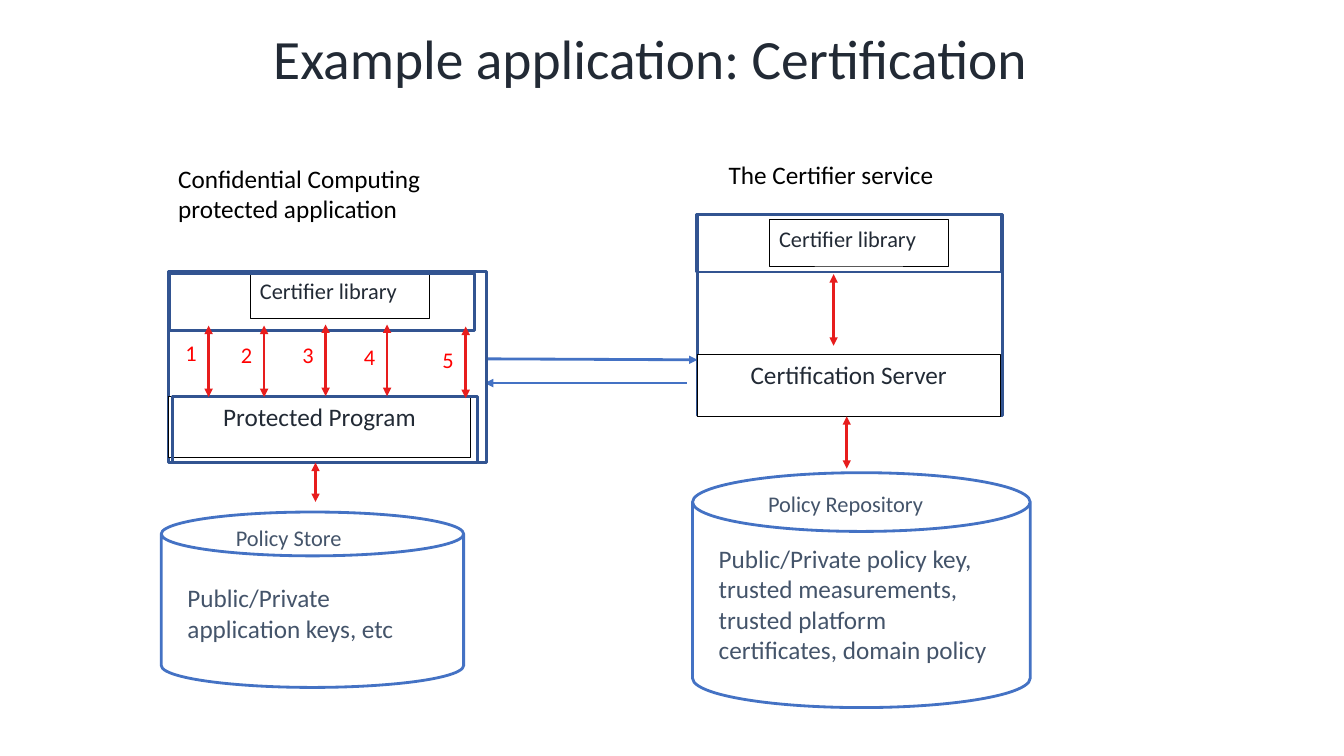
from lxml import etree
from pptx import Presentation, util as u
from pptx.dml.color import RGBColor
from pptx.enum import shapes as s, text as t
from pptx.oxml import ns

CELL = u.Inches(0.1)
FONT = "Calibri"
HUES = {
    "ink": "222A35",
    "slate": "44546A",
    "black": "000000",
    "white": "FFFFFF",
    "navy": "325491",
    "blue": "4472C4",
    "red": "E71D1D",
    "digit": "FF0000",
}


def hue(name):
    return RGBColor.from_string(HUES[name])


def grid(*cells):
    return [round(cell * CELL) for cell in cells]


def write(shape, words, size=18, color="ink", align="LEFT", anchor="TOP",
          inset=True, wrap=True, lead=None, after=0):
    frame = shape.text_frame
    frame.word_wrap = wrap
    frame.vertical_anchor = getattr(t.MSO_ANCHOR, anchor)
    if not inset:
        frame.margin_left = frame.margin_right = 0
        frame.margin_top = frame.margin_bottom = 0
    para = frame.paragraphs[0]
    para.alignment = getattr(t.PP_ALIGN, align)
    para.space_after = u.Pt(after)
    if lead:
        para.line_spacing = lead
    run = para.add_run()
    run.text = words
    run.font.name = FONT
    run.font.size = u.Pt(size)
    run.font.color.rgb = hue(color)


def label(slide, words, place, **style):
    write(slide.shapes.add_textbox(*grid(*place)), words, **style)


def outline(slide, kind, place, line, width=2, fill=None):
    shape = slide.shapes.add_shape(kind, *grid(*place))
    shape.shadow.inherit = False
    if fill:
        shape.fill.solid()
        shape.fill.fore_color.rgb = hue(fill)
    else:
        shape.fill.background()
    shape.line.color.rgb = hue(line)
    shape.line.width = u.Pt(width)
    return shape


def frame(slide, place, fill=None):
    outline(slide, s.MSO_SHAPE.RECTANGLE, place, "navy", fill=fill)


def box(slide, words, place, **style):
    shape = outline(slide, s.MSO_SHAPE.RECTANGLE, place, "black", 0.5, "white")
    write(shape, words, **style)


def library(slide, left, top):
    box(slide, "Certifier library", (left, top, 17.8, 4.6), size=16)


def program(slide, words, left, top):
    box(slide, words, (left, top, 30, 6.1), align="CENTER")


def arrow(slide, start, end, color="red", ends=("headEnd", "tailEnd")):
    link = slide.shapes.add_connector(
        s.MSO_CONNECTOR.STRAIGHT, *grid(*start, *end))
    link.line.color.rgb = hue(color)
    link.line.width = u.Pt(2)
    line = link.line._get_or_add_ln()
    for end in ends:
        etree.SubElement(line, ns.qn("a:" + end), type="triangle")
    etree.SubElement(link._element.spPr, ns.qn("a:effectLst"))


def store(slide, place, name, spot, body, area, wrap):
    outline(slide, s.MSO_SHAPE.CAN, place, "blue")
    label(slide, body, area, color="slate", inset=False, after=6)
    label(slide, name, spot, size=16, color="slate", inset=False,
          wrap=wrap, lead=1.3)


def service(slide):
    label(slide, "The Certifier service", (71.3, 15.3, 25.1, 4), color="black")
    frame(slide, (69.2, 21.3, 30.3, 19.9), "white")
    program(slide, "Certification Server", 69.2, 35.2)
    library(slide, 76.3, 21.8)
    frame(slide, (69.1, 21.3, 30.3, 5.7))
    arrow(slide, (82.7, 34.3), (82.7, 27.2))
    store(slide, (68.7, 46.9, 33.5, 23.3),
          "Policy Repository", (76.2, 47.8, 15.6, 3.2),
          "Public/Private policy key, trusted measurements, "
          "trusted platform certificates, domain policy",
          (71.3, 53.9, 28.4, 3.2), False)
    arrow(slide, (84, 41.3), (84, 46.5))


def client(slide):
    label(slide, "Confidential Computing protected application",
          (16.7, 15.7, 26.7, 7.1), color="black")
    frame(slide, (16.7, 26.9, 31.6, 19), "white")
    program(slide, "Protected Program", 16.7, 39.3)
    library(slide, 24.8, 27)
    frame(slide, (16.8, 27.1, 30.3, 5.7))
    frame(slide, (17.1, 39.3, 30.3, 6.6))
    steps = [(20.7, 32.3, 33.6), (26.2, 32.3, 33.8), (32.3, 32.2, 33.8),
             (38.4, 32.2, 34), (46.2, 32.4, 34.3)]
    for count, (left, top, row) in enumerate(steps, 1):
        arrow(slide, (left, top + 7.1), (left, top))
        label(slide, str(count), (left - 2.8, row, 2.1, 2.7), size=16,
              color="digit", align="CENTER", inset=False, after=6)
    store(slide, (16, 50.8, 30, 17.4),
          "Policy Store", (23.4, 51.2, 17.5, 3.2),
          "Public/Private application keys, etc",
          (18.6, 57.8, 25.4, 2.4), True)
    arrow(slide, (31.3, 45.9), (31.3, 49.8))


def main():
    deck = Presentation()
    deck.slide_width, deck.slide_height = grid(133.33, 75)
    slide = deck.slides.add_slide(deck.slide_layouts[6])
    label(slide, "Example application: Certification", (7, 2.4, 115, 7.4),
          size=39.6, align="CENTER", anchor="MIDDLE", lead=0.9, after=6)
    arrow(slide, (48.1, 35.6), (69.2, 35.7), "blue", ["tailEnd"])
    arrow(slide, (48.1, 38), (68.2, 38), "blue", ["headEnd"])
    service(slide)
    client(slide)
    deck.save("out.pptx")


main()
